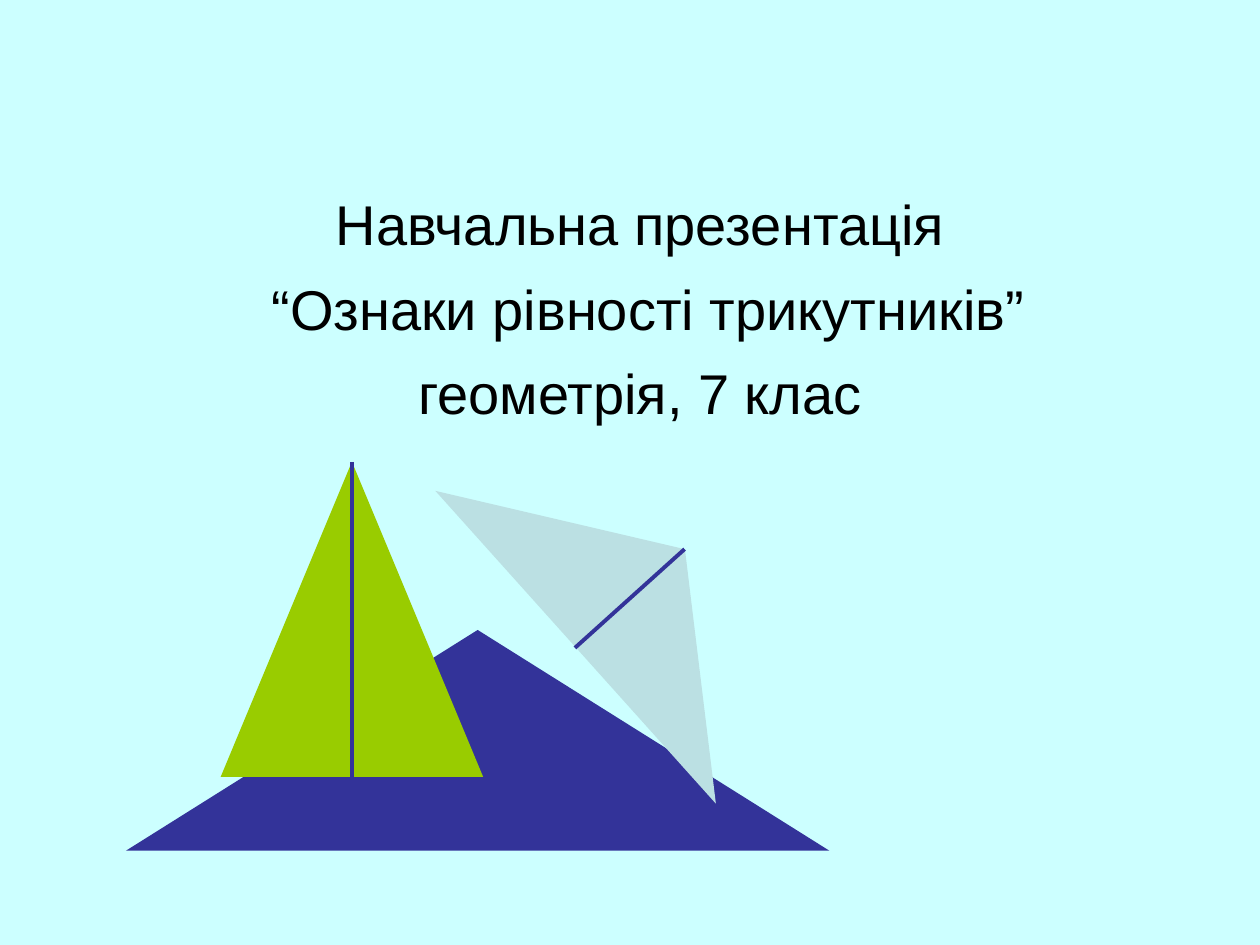
from dataclasses import dataclass

from lxml import etree
from pptx import Presentation
from pptx.dml.color import RGBColor
from pptx.enum.shapes import MSO_CONNECTOR, MSO_SHAPE
from pptx.enum.text import PP_ALIGN
from pptx.oxml.ns import qn
from pptx.util import Cm, Pt

TRIANGLE = MSO_SHAPE.ISOSCELES_TRIANGLE
STRAIGHT = MSO_CONNECTOR.STRAIGHT
CENTER = PP_ALIGN.CENTER
BLANK_LAYOUT = 6


@dataclass(frozen=True)
class Theme:
    background: RGBColor = RGBColor.from_string("CCFFFF")
    text: RGBColor = RGBColor.from_string("000000")
    navy: RGBColor = RGBColor.from_string("333399")
    green: RGBColor = RGBColor.from_string("99CC00")
    pale: RGBColor = RGBColor.from_string("BBE0E3")
    font: str = "Arial"
    title_size: Pt = Pt(32)
    title_gap: Pt = Pt(9.8)
    line_width: Pt = Pt(2.25)


THEME = Theme()

TITLE_LINES = [
    ("Навчальна презентація", 0),
    ("“Ознаки рівності трикутників”", 0.32),
    ("геометрія, 7 клас", 0),
]


def add_triangle(page, left, top, width, height, color, rotation=0):
    triangle = page.shapes.add_shape(
        TRIANGLE, Cm(left), Cm(top), Cm(width), Cm(height)
    )
    triangle.shadow.inherit = False
    triangle.fill.solid()
    triangle.fill.fore_color.rgb = color
    triangle.line.fill.background()
    triangle.rotation = rotation


def add_median(page, start, end):
    median = page.shapes.add_connector(
        STRAIGHT, Cm(start[0]), Cm(start[1]), Cm(end[0]), Cm(end[1])
    )
    median.line.color.rgb = THEME.navy
    median.line.width = THEME.line_width
    etree.SubElement(median._element.spPr, qn("a:effectLst"))


def add_title(page, left, top, width, height):
    box = page.shapes.add_textbox(Cm(left), Cm(top), Cm(width), Cm(height))
    frame = box.text_frame
    frame.word_wrap = True
    for index, (text, indent) in enumerate(TITLE_LINES):
        para = frame.paragraphs[0] if index == 0 else frame.add_paragraph()
        para.text = text
        para.alignment = CENTER
        if index:
            para.space_before = THEME.title_gap
        if indent:
            para._p.get_or_add_pPr().set("marL", str(Cm(indent)))
        para.font.name = THEME.font
        para.font.size = THEME.title_size
        para.font.color.rgb = THEME.text


def main():
    deck = Presentation()
    deck.slide_width, deck.slide_height = Cm(25.4), Cm(19.05)
    page = deck.slides.add_slide(deck.slide_layouts[BLANK_LAYOUT])
    page.background.fill.solid()
    page.background.fill.fore_color.rgb = THEME.background

    add_triangle(page, 2.54, 12.7, 14.18, 4.45, THEME.navy)
    add_title(page, 1.27, 3.7, 23.28, 4.65)
    add_triangle(page, 4.45, 9.31, 5.29, 6.35, THEME.green)
    add_triangle(page, 8.47, 10.58, 8.47, 2.96, THEME.pale, rotation=48.1)
    add_median(page, (7.09, 9.31), (7.09, 15.66))
    add_median(page, (13.8, 11.07), (11.59, 13.06))

    deck.save("out.pptx")


if __name__ == "__main__":
    main()
